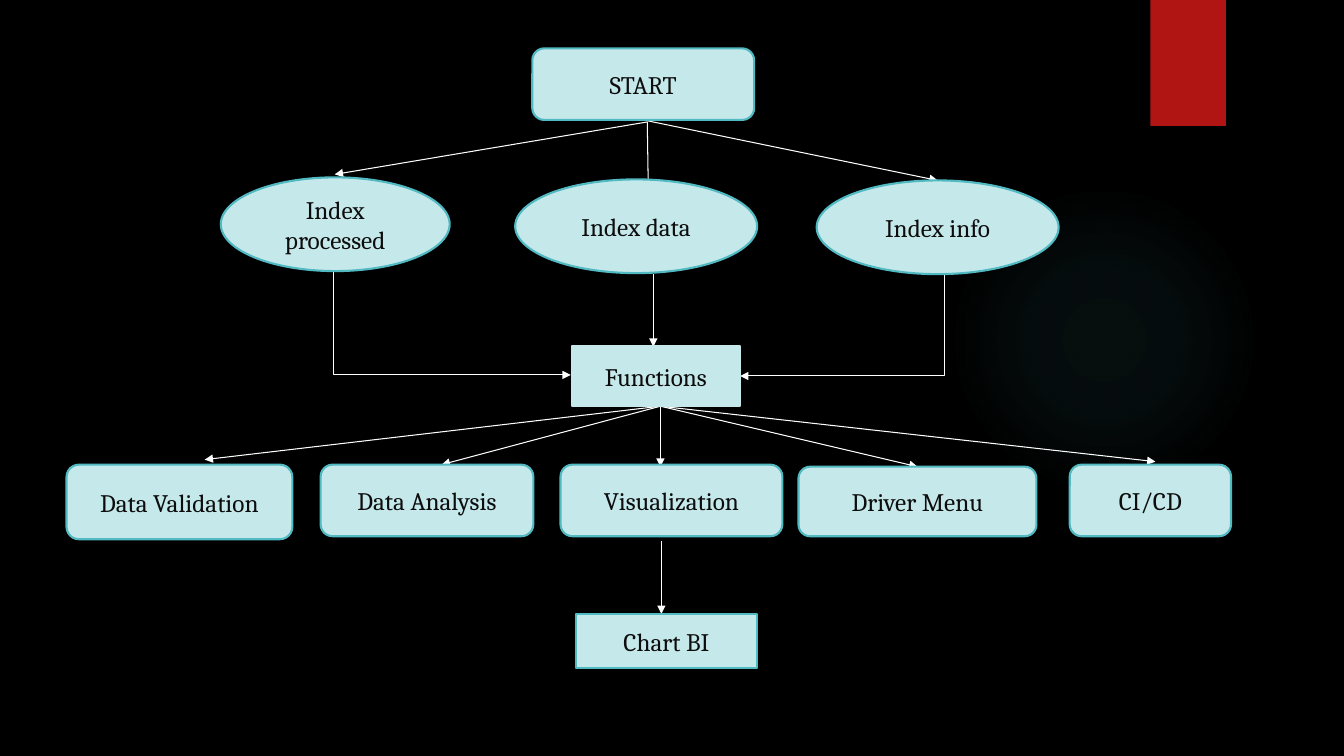
from lxml.etree import SubElement
from pptx import Presentation
from pptx.dml.color import RGBColor
from pptx.enum.shapes import MSO_CONNECTOR, MSO_SHAPE
from pptx.enum.text import MSO_ANCHOR, PP_ALIGN
from pptx.oxml import parse_xml
from pptx.oxml.ns import nsdecls, qn
from pptx.util import Inches, Pt

# Content: name -> (shape, text, left, top, width, height)
OVAL, ROUND, RECT = MSO_SHAPE.OVAL, MSO_SHAPE.ROUNDED_RECTANGLE, MSO_SHAPE.RECTANGLE
NODES = {
    "start": (ROUND, "START", 5.28, 0.48, 2.2, 0.71),
    "processed": (OVAL, "Index\nprocessed", 2.19, 1.76, 2.27, 0.93),
    "data": (OVAL, "Index data", 5.11, 1.78, 2.4, 0.93),
    "info": (OVAL, "Index info", 8.1, 1.79, 2.4, 0.93),
    "functions": (RECT, "Functions", 5.67, 3.43, 1.67, 0.6),
    "validation": (ROUND, "Data Validation", 0.66, 4.61, 2.24, 0.74),
    "analysis": (ROUND, "Data Analysis", 3.18, 4.61, 2.11, 0.71),
    "visualization": (ROUND, "Visualization", 5.56, 4.61, 2.2, 0.71),
    "driver": (ROUND, "Driver Menu", 7.92, 4.63, 2.36, 0.69),
    "ci_cd": (ROUND, "CI/CD", 10.61, 4.61, 1.6, 0.71),
    "report": (RECT, "Chart BI", 5.71, 6.09, 1.8, 0.54),
}
START_EXIT, FUNCTIONS_EXIT = (6.42, 1.21), (6.55, 4.03)
# Arrows: (from, to, joined start node, joined end node)
ARROWS = [
    (START_EXIT, (3.32, 1.73), None, None),
    (START_EXIT, (6.43, 1.88), None, None),
    ((6.38, 1.19), (9.3, 1.79), "start", None),
    ((6.48, 2.72), (6.48, 3.44), None, None),
    (FUNCTIONS_EXIT, (2.03, 4.56), None, None),
    (FUNCTIONS_EXIT, (4.38, 4.61), None, None),
    (FUNCTIONS_EXIT, (6.55, 4.63), None, None),
    (FUNCTIONS_EXIT, (9.1, 4.63), None, "driver"),
    (FUNCTIONS_EXIT, (11.46, 4.58), None, None),
    ((6.56, 5.37), (6.56, 6.09), None, None),
]
BENT_ARROWS = [((3.31, 2.68), (5.66, 3.72)), ((9.37, 2.71), (7.34, 3.73))]
GLOW_STOPS = [(0, 7), (36, 6), (69, 0)]  # position and opacity, percent
PALE, TEAL, INK, WHITE = "C5E8EA", "50B9C1", "0D0D0D", "FFFFFF"
BOTTOM, TOP = 2, 0


def color(hex_value):
    return RGBColor.from_string(hex_value)


def write_text(shape, text, size=18, font="Cambria", ink=INK):
    frame = shape.text_frame
    frame.word_wrap = True
    frame.vertical_anchor = MSO_ANCHOR.MIDDLE
    for index, line in enumerate(text.split("\n")):
        para = frame.add_paragraph() if index else frame.paragraphs[0]
        para.alignment = PP_ALIGN.CENTER
        span = para.add_run()
        span.text = line
        span.font.size, span.font.name = Pt(size), font
        span.font.color.rgb = color(ink)


def add_box(kind, left, top, width, height, fill=None, line=None):
    box = slide.shapes.add_shape(kind, *map(Inches, (left, top, width, height)))
    box.shadow.inherit = False
    if fill:
        box.fill.solid()
        box.fill.fore_color.rgb = color(fill)
    if line:
        box.line.color.rgb = color(line)
        box.line.width = Pt(1.5)
    else:
        box.line.fill.background()
    return box


def add_arrow(kind, begin, end):
    arrow = slide.shapes.add_connector(kind, *map(Inches, (*begin, *end)))
    arrow.line.color.rgb = color(WHITE)
    arrow.line.width = Pt(0.75)
    SubElement(arrow.line._get_or_add_ln(), qn("a:tailEnd"), type="triangle")
    SubElement(arrow._element.spPr, qn("a:effectLst"))
    return arrow


def add_bent_arrow(begin, end):
    """Go straight down, then sideways: a turned one-corner connector."""
    run, drop = abs(end[0] - begin[0]), end[1] - begin[1]
    left = (begin[0] + end[0] - drop) / 2
    top = (begin[1] + end[1] - run) / 2
    near, far = left, left + drop
    rightward = end[0] > begin[0]
    if rightward:
        near, far = far, near
    arrow = add_arrow(MSO_CONNECTOR.ELBOW, (near, top), (far, top + run))
    properties = arrow._element.spPr
    properties.find(qn("a:prstGeom")).set("prst", "bentConnector2")
    properties.find(qn("a:xfrm")).set("rot", str((270 if rightward else 90) * 60000))
    return arrow


deck = Presentation()
deck.slide_width, deck.slide_height = Inches(13.33), Inches(7.5)
slide = deck.slides.add_slide(deck.slide_layouts[6])

# Backdrop: black, faint round glow, red tab
slide.background.fill.solid()
slide.background.fill.fore_color.rgb = color("000000")
glow = add_box(OVAL, 9.41, 1.83, 3.08, 3.08)
stops = "".join(
    f'<a:gs pos="{place * 1000}"><a:srgbClr val="{TEAL}">'
    f'<a:alpha val="{opacity * 1000}"/></a:srgbClr></a:gs>'
    for place, opacity in GLOW_STOPS
)
glow._element.spPr.find(qn("a:prstGeom")).addnext(parse_xml(
    f'<a:gradFill {nsdecls("a")}><a:gsLst>{stops}</a:gsLst><a:path path="circle">'
    '<a:fillToRect l="50000" t="50000" r="50000" b="50000"/></a:path></a:gradFill>'
))
tab = add_box(RECT, 11.41, 0, 0.75, 1.25, fill="B01513")

# Flowchart nodes
boxes = {}
for name, (kind, text, *place) in NODES.items():
    edge = PALE if name == "functions" else TEAL
    boxes[name] = add_box(kind, *place, fill=PALE, line=edge)
    write_text(boxes[name], text)

# Arrows, tucked behind the nodes
arrows = [add_bent_arrow(begin, end) for begin, end in BENT_ARROWS]
for begin, end, source, target in ARROWS:
    arrow = add_arrow(MSO_CONNECTOR.STRAIGHT, begin, end)
    if source:
        arrow.begin_connect(boxes[source], BOTTOM)
    if target:
        arrow.end_connect(boxes[target], TOP)
    arrows.append(arrow)
for arrow in arrows:
    tab._element.addnext(arrow._element)

deck.save("out.pptx")
